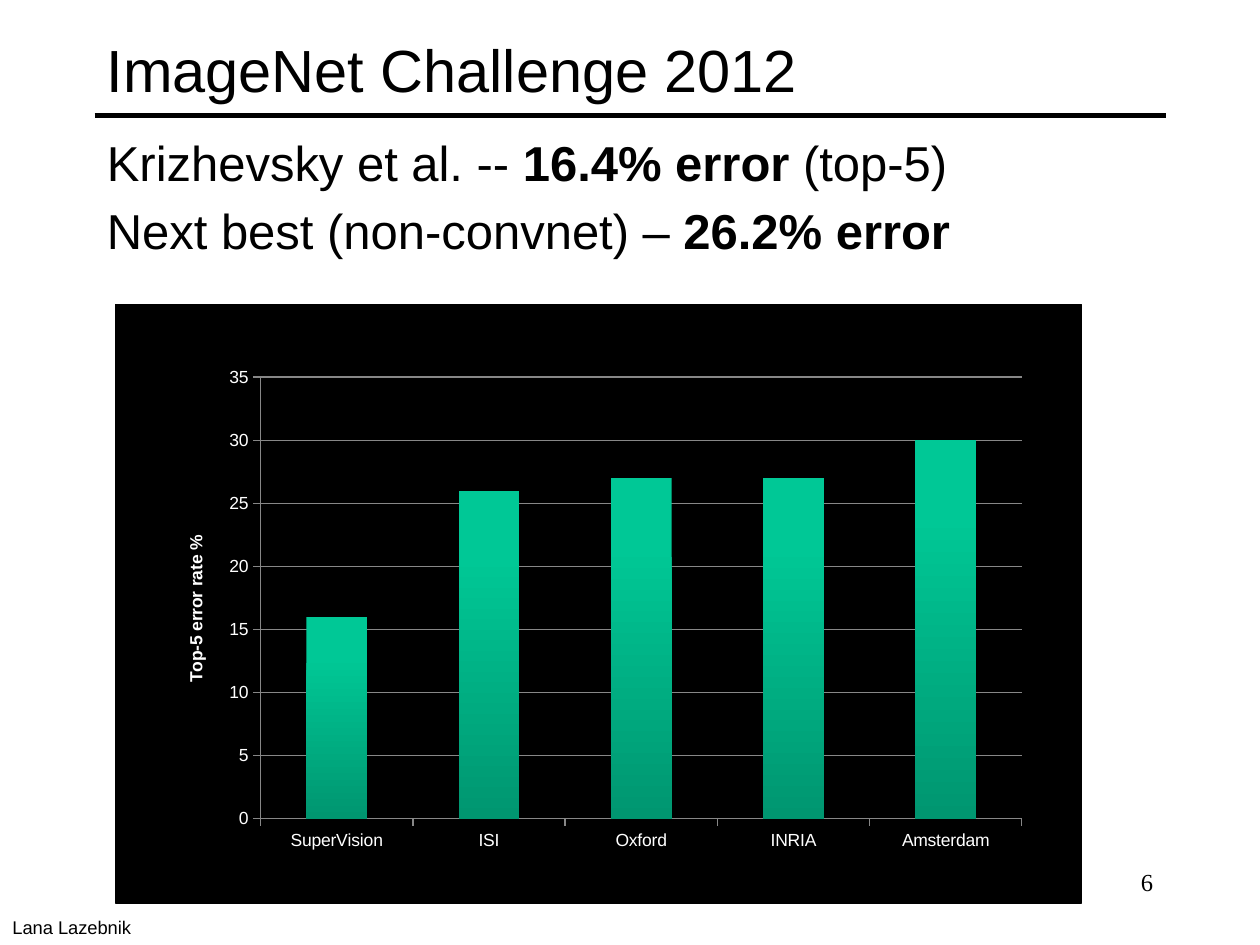
from lxml.etree import SubElement
from pptx import Presentation
from pptx.chart.data import CategoryChartData
from pptx.dml.color import RGBColor
from pptx.enum.chart import XL_CHART_TYPE, XL_TICK_MARK
from pptx.enum.shapes import MSO_CONNECTOR, MSO_SHAPE
from pptx.enum.text import MSO_ANCHOR, PP_ALIGN
from pptx.oxml.ns import qn
from pptx.util import Inches, Pt

THEME = {
    "black": RGBColor(0, 0, 0),
    "white": RGBColor(255, 255, 255),
    "grid": RGBColor(0x87, 0x87, 0x87),
    "bar_top": RGBColor(0x00, 0xC8, 0x96),
    "bar_foot": RGBColor(0x00, 0x96, 0x70),
    "font": "Arial", "number_font": "Times New Roman",
    "title": 34, "body": 28, "number": 14, "credit": 10.5, "chart": 10,
}

prs = Presentation()
prs.slide_width, prs.slide_height = Inches(10), Inches(7.5)
s = prs.slides.add_slide(prs.slide_layouts[6])

# Grid of 120 columns by 90 rows
COL, ROW = prs.slide_width // 120, prs.slide_height // 90


def grid(x, y, w, h):
    return int(x * COL), int(y * ROW), int(w * COL), int(h * ROW)


def add_text(paragraphs, box, size, font=THEME["font"], align=PP_ALIGN.LEFT,
             anchor=MSO_ANCHOR.TOP, wrap=True, gap=0, hang=0):
    """Add a text box; each paragraph is a list of (text, bold) runs."""
    tf = s.shapes.add_textbox(*grid(*box)).text_frame
    tf.word_wrap, tf.vertical_anchor = wrap, anchor
    for i, runs in enumerate(paragraphs):
        p = tf.paragraphs[0] if i == 0 else tf.add_paragraph()
        p.alignment = align
        if i:
            p.space_before = Pt(gap)
        if hang:
            pPr = p._p.get_or_add_pPr()
            pPr.set("marL", str(Inches(hang)))
            pPr.set("indent", str(-Inches(hang)))
        for text, bold in runs:
            r = p.add_run()
            r.text = text
            r.font.name, r.font.size, r.font.bold = font, Pt(size), bold
            r.font.color.rgb = THEME["black"]


# Title rule
rule = s.shapes.add_connector(MSO_CONNECTOR.STRAIGHT, 9 * COL, 11 * ROW, 111 * COL, 11 * ROW)
rule.line.color.rgb, rule.line.width = THEME["black"], Pt(3)
SubElement(rule._element.spPr, qn("a:effectLst"))

# Dark panel behind the chart
sp = s.shapes.add_shape(MSO_SHAPE.RECTANGLE, *grid(11, 29, 92, 57))
sp.shadow.inherit = False
sp.fill.solid()
sp.fill.fore_color.rgb = sp.line.color.rgb = THEME["black"]
sp.line.width = Pt(0.75)

# Title and body
add_text([[("ImageNet Challenge 2012", False)]], (9, 1, 102, 11), THEME["title"],
         anchor=MSO_ANCHOR.MIDDLE)
add_text([[("Krizhevsky et al. -- ", False), ("16.4% error ", True), ("(top-5)", False)],
          [("Next best (non-convnet) – ", False), ("26.2% error", True)]],
         (9, 12, 102, 69), THEME["body"], gap=5.5, hang=0.38)

# Error rate chart
data = CategoryChartData()
data.categories = ["SuperVision", "ISI", "Oxford", "INRIA", "Amsterdam"]
data.add_series("Series 1", [16, 26, 27, 27, 30])
chart = s.shapes.add_chart(XL_CHART_TYPE.COLUMN_CLUSTERED, *grid(15, 34, 84, 48), data).chart
chart.has_title = chart.has_legend = False
chart.font.name, chart.font.size = THEME["font"], Pt(THEME["chart"])
chart.font.color.rgb = THEME["white"]

# Bars
plot = chart.plots[0]
plot.gap_width, plot.vary_by_categories = 150, False
fill = plot.series[0].format.fill
fill.gradient()
fill.gradient_angle = 270
for stop, place, color in zip(fill.gradient_stops, (0.2, 1), ("bar_top", "bar_foot")):
    stop.position, stop.color.rgb = place, THEME[color]

# Axes
values = chart.value_axis
for axis in (chart.category_axis, values):
    axis.major_tick_mark, axis.minor_tick_mark = XL_TICK_MARK.OUTSIDE, XL_TICK_MARK.NONE
    axis.format.line.color.rgb = THEME["grid"]
values.minimum_scale, values.maximum_scale, values.major_unit = 0, 35, 5
values.has_major_gridlines = True
values.major_gridlines.format.line.color.rgb = THEME["grid"]
tf = values.axis_title.text_frame
tf.text = "Top-5 error rate %"
font = tf.paragraphs[0].runs[0].font
font.name, font.size, font.bold = THEME["font"], Pt(THEME["chart"]), True
font.color.rgb = THEME["white"]

# Plot area as shares of the chart
area = chart._chartSpace.chart.plotArea
layout = area.find(qn("c:layout"))
if layout is None:
    layout = SubElement(area, qn("c:layout"))
    area.insert(0, layout)
manual = SubElement(layout, qn("c:manualLayout"))
left, top, right, bottom = 0.117, 0.04, 0.98, 0.916
for tag, val in (("layoutTarget", "inner"), ("xMode", "edge"), ("yMode", "edge"),
                 ("x", left), ("y", top), ("w", right - left), ("h", bottom - top)):
    SubElement(manual, qn(f"c:{tag}")).set("val", str(val))

# Credit and slide number
add_text([[("Lana Lazebnik", False)]], (0, 86.7, 14, 3.3), THEME["credit"], wrap=False)
add_text([[("6", False)]], (86, 82, 25, 6), THEME["number"],
         font=THEME["number_font"], align=PP_ALIGN.RIGHT)

prs.save("out.pptx")
